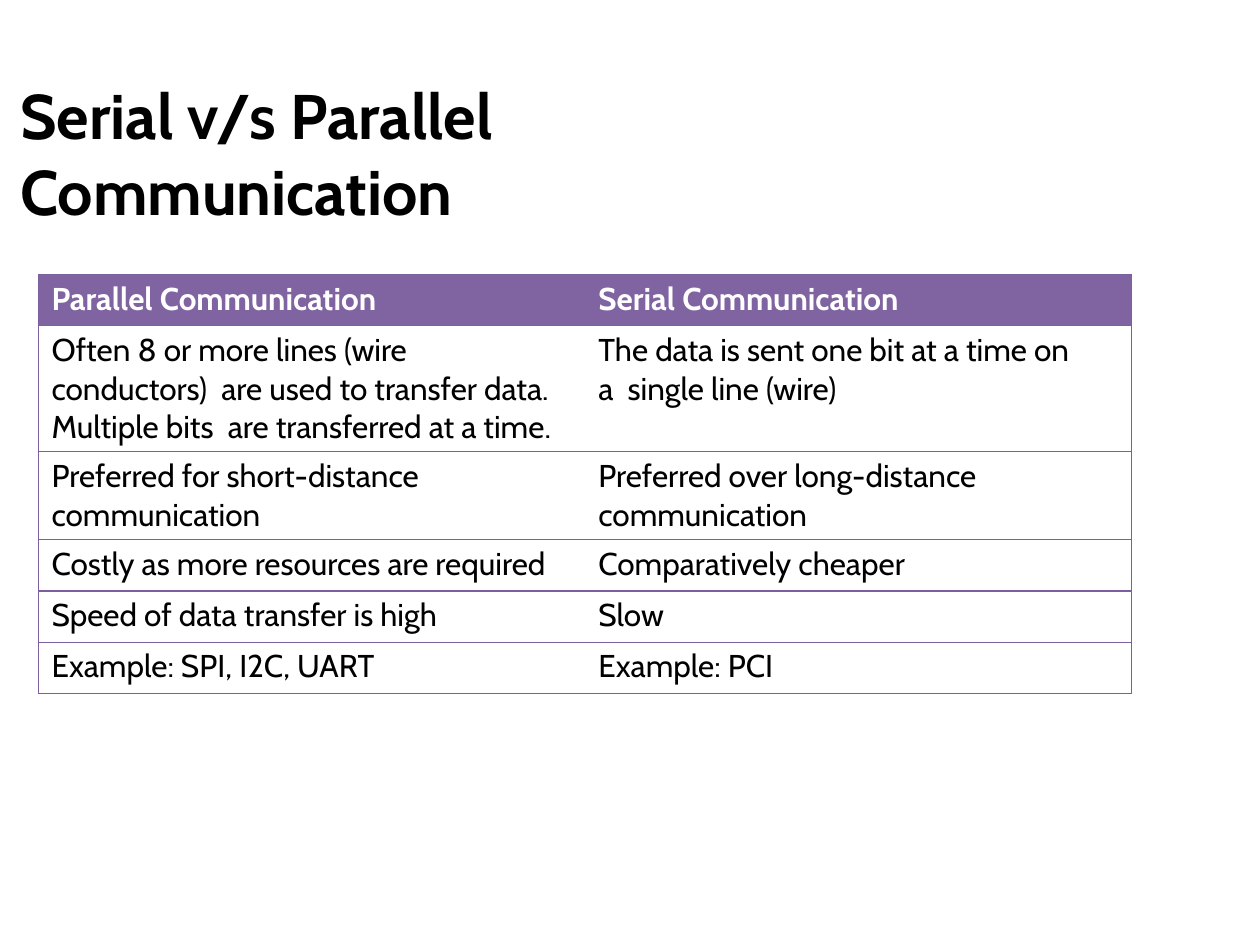
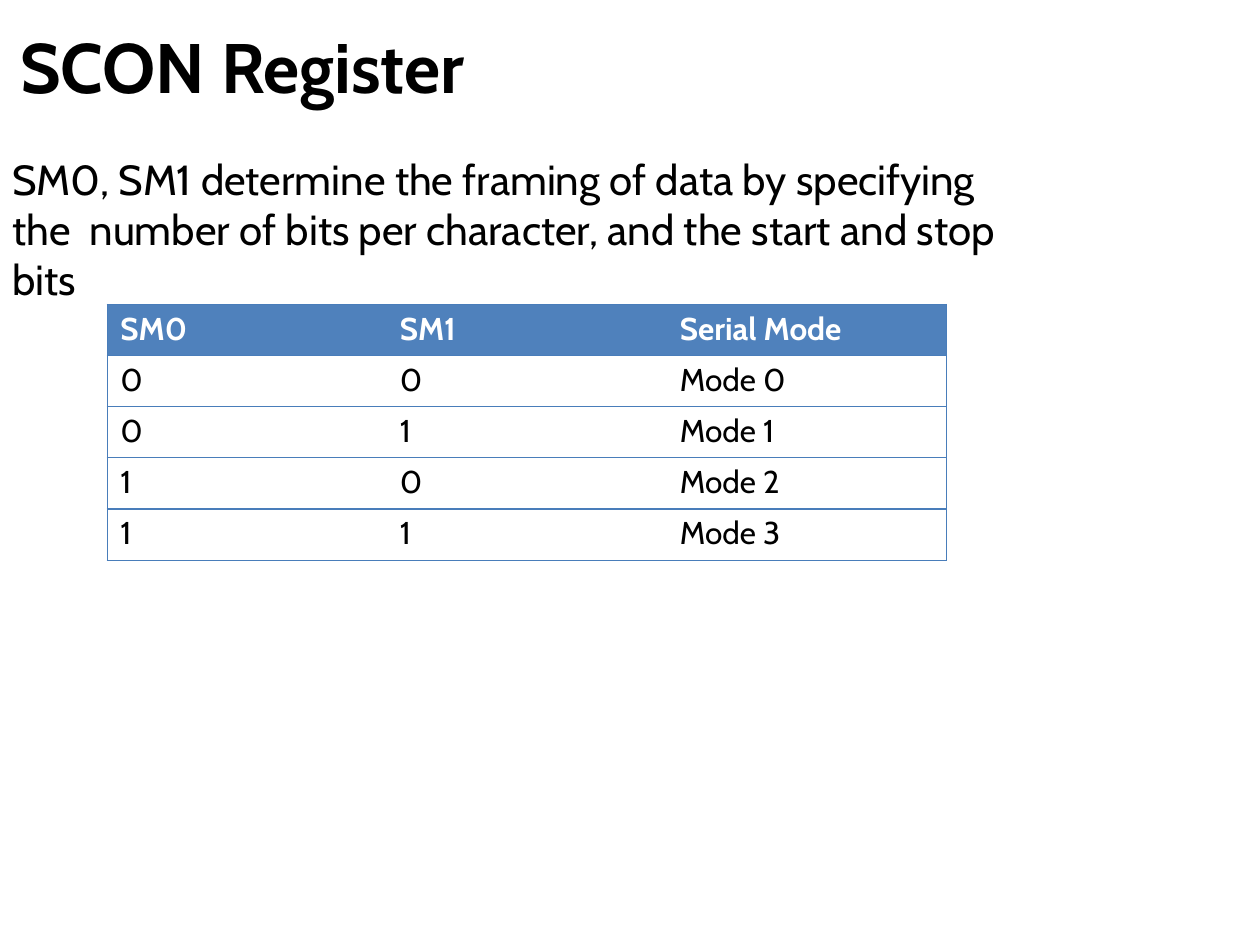
import pptx
import pptx.dml.color
import pptx.enum.text
import pptx.oxml
import pptx.oxml.ns
import pptx.util
from lxml import etree

Pt = pptx.util.Pt
RGBColor = pptx.dml.color.RGBColor

BLACK = RGBColor(0x00, 0x00, 0x00)
WHITE = RGBColor(0xFF, 0xFF, 0xFF)
PURPLE = RGBColor(0x80, 0x63, 0xA1)
PURPLE_LINE = RGBColor(0x7C, 0x5F, 0x9F)
BLUE = RGBColor(0x4F, 0x81, 0xBC)
BLUE_LINE = RGBColor(0x49, 0x7D, 0xBA)

PLAIN_TABLE_STYLE = "{2D5ABB26-0587-4C30-8999-92F81FD0307C}"


class Deck:
    font_name = "Cabin"
    table_size = 18
    border_width = 0.75
    text_top = 2

    def __init__(self):
        self.presentation = pptx.Presentation()
        self.presentation.slide_width = Pt(720)
        self.presentation.slide_height = Pt(540)
        self.slide = None

    def add_slide(self):
        layout = self.presentation.slide_layouts[5]
        self.slide = self.presentation.slides.add_slide(layout)

    def set_text(self, frame, text, size, color, bold=False):
        frame.text = text
        for paragraph in frame.paragraphs:
            paragraph.alignment = pptx.enum.text.PP_ALIGN.LEFT
            paragraph.font.name = self.font_name
            paragraph.font.size = Pt(size)
            paragraph.font.bold = bold
            paragraph.font.color.rgb = color

    def fill_box(self, frame, text, size, bold=False):
        frame.word_wrap = True
        frame.auto_size = pptx.enum.text.MSO_AUTO_SIZE.SHAPE_TO_FIT_TEXT
        frame.vertical_anchor = pptx.enum.text.MSO_ANCHOR.TOP
        frame.margin_left = frame.margin_right = frame.margin_bottom = 0
        frame.margin_top = Pt(self.text_top)
        self.set_text(frame, text, size, BLACK, bold)

    def title(self, text, left, top, width, height, size):
        heading = self.slide.shapes.title
        heading.left, heading.top = Pt(left), Pt(top)
        heading.width, heading.height = Pt(width), Pt(height)
        self.fill_box(heading.text_frame, text, size, bold=True)

    def body(self, text, left, top, width, height, size):
        box = self.slide.shapes.add_textbox(Pt(left), Pt(top), Pt(width), Pt(height))
        self.fill_box(box.text_frame, text, size)

    def border(self, cell, sides, color):
        properties = cell._tc.get_or_add_tcPr()
        for side in sides:
            line = etree.SubElement(properties, pptx.oxml.ns.qn(f"a:ln{side}"))
            line.set("w", str(Pt(self.border_width)))
            fill = etree.SubElement(line, pptx.oxml.ns.qn("a:solidFill"))
            etree.SubElement(fill, pptx.oxml.ns.qn("a:srgbClr")).set("val", str(color))

    def table(self, rows, left, top, widths, heights, indents, right_margins,
              header_color, line_color):
        frame = self.slide.shapes.add_table(
            len(rows), len(widths), Pt(left), Pt(top), Pt(sum(widths)), Pt(sum(heights)))
        table = frame.table
        table.horz_banding = False
        table._tbl.tblPr.find(pptx.oxml.ns.qn("a:tableStyleId")).text = PLAIN_TABLE_STYLE
        for column, width in zip(table.columns, widths):
            column.width = Pt(width)
        for row, height in zip(table.rows, heights):
            row.height = Pt(height)

        last = len(widths) - 1
        for r, texts in enumerate(rows):
            for c, text in enumerate(texts):
                cell = table.cell(r, c)
                cell.margin_left, cell.margin_right = Pt(indents[c]), Pt(right_margins[c])
                cell.margin_top, cell.margin_bottom = Pt(3), 0
                is_header = r == 0
                self.set_text(cell.text_frame, text, self.table_size,
                              WHITE if is_header else BLACK, is_header)
                # Outer edges and row rules only, no inner verticals
                sides = ("L" if c == 0 else "") + ("R" if c == last else "") + "TB"
                self.border(cell, sides, line_color)
                if is_header:
                    cell.fill.solid()
                    cell.fill.fore_color.rgb = header_color
                else:
                    cell.fill.background()


def main():
    deck = Deck()
    row_height = 29.25

    # Serial and parallel compared
    deck.add_slide()
    deck.title("Serial v/s Parallel Communication", 11.5, 41.75, 503.5, 45.5, 36)
    comparison = [
        ("Parallel Communication", "Serial Communication"),
        ("Often 8 or more lines (wire conductors)  are used to transfer data. "
         "Multiple bits  are transferred at a time.",
         "The data is sent one bit at a time on a  single line (wire)"),
        ("Preferred for short-distance\ncommunication",
         "Preferred over long-distance\ncommunication"),
        ("Costly as more resources are required", "Comparatively cheaper"),
        ("Speed of data transfer is high", "Slow"),
        ("Example: SPI, I2C, UART", "Example: PCI"),
    ]
    deck.table(comparison, 22, 157, widths=[307.5, 317],
               heights=[row_height, 72, 50.25] + [row_height] * 3,
               indents=[7.5, 12.5], right_margins=[13, 32],
               header_color=PURPLE, line_color=PURPLE_LINE)

    # SCON mode bits
    deck.add_slide()
    deck.title("SCON Register", 11.5, 11.5, 361.5, 49.5, 40)
    deck.body("SM0, SM1 determine the framing of data by specifying the  number of "
              "bits per character, and the start and stop bits", 7, 85.5, 569.5, 60, 24)
    modes = [("SM0", "SM1", "Serial Mode")]
    modes += [(str(mode // 2), str(mode % 2), f"Mode {mode}") for mode in range(4)]
    deck.table(modes, 61.25, 174, widths=[103.75, 160, 216],
               heights=[row_height] * len(modes),
               indents=[7.5, 63.5, 63.5], right_margins=[0, 0, 0],
               header_color=BLUE, line_color=BLUE_LINE)

    deck.presentation.save("out.pptx")


if __name__ == "__main__":
    main()
